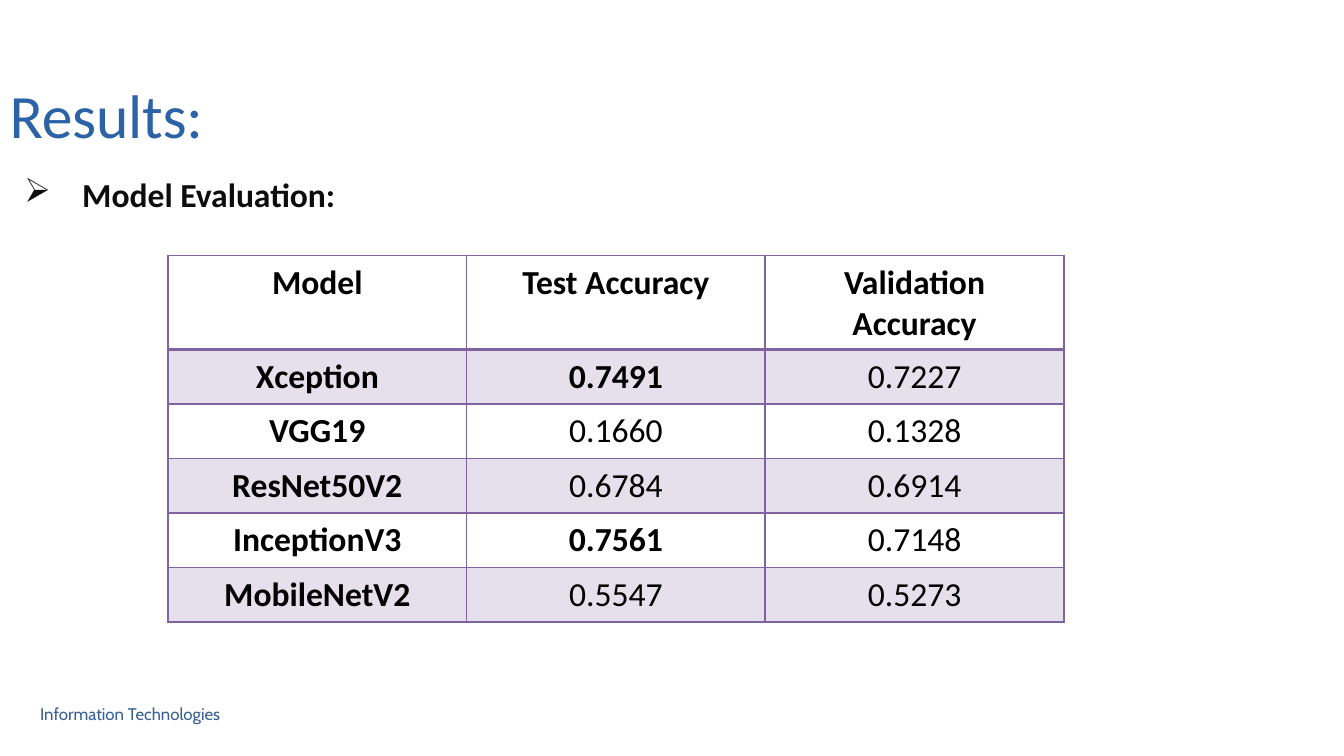
"""Build a results slide with a table of model accuracies."""
from lxml.etree import SubElement
from pptx import Presentation
from pptx.dml.color import RGBColor
from pptx.enum.text import MSO_AUTO_SIZE as AutoSize, PP_ALIGN as Align
from pptx.oxml.ns import qn
from pptx.util import Pt

TITLE_BLUE = RGBColor(0x2C, 0x62, 0xA6)
FOOTER_BLUE = RGBColor(0x37, 0x60, 0x92)
PURPLE = RGBColor(0x80, 0x64, 0xA2)
BLACK = RGBColor(0, 0, 0)
DARK = RGBColor(0x0D, 0x0D, 0x0D)

ROWS = [
    ("Model", "Test Accuracy", "Validation Accuracy"),
    ("Xception", "0.7491", "0.7227"),
    ("VGG19", "0.1660", "0.1328"),
    ("ResNet50V2", "0.6784", "0.6914"),
    ("InceptionV3", "0.7561", "0.7148"),
    ("MobileNetV2", "0.5547", "0.5273"),
]
BEST_SCORES = ("0.7491", "0.7561")
COLUMN_WIDTH = 160
ROW_HEIGHT = 29.2


def add_run(paragraph, text, size, color, font="Calibri", bold=False):
    run = paragraph.add_run()
    run.text = text
    run.font.size = Pt(size)
    run.font.name = font
    run.font.bold = bold
    run.font.color.rgb = color
    return run


def add_text_box(slide, left, top, width, height, insets):
    shape = slide.shapes.add_textbox(Pt(left), Pt(top), Pt(width), Pt(height))
    frame = shape.text_frame
    frame.word_wrap = True
    frame.auto_size = AutoSize.SHAPE_TO_FIT_TEXT
    frame.margin_left, frame.margin_top, frame.margin_right, frame.margin_bottom = map(Pt, insets)
    return frame.paragraphs[0]


presentation = Presentation()
presentation.slide_width = Pt(720)
presentation.slide_height = Pt(405)
slide = presentation.slides.add_slide(presentation.slide_layouts[6])

footer = add_text_box(slide, 14.4, 373.5, 239, 18, (7.2, 3.6, 7.2, 3.6))
add_run(footer, "Information Technologies", 9, FOOTER_BLUE, "Cabin")

title = add_text_box(slide, 0, 40.3, 114, 41.8, (0, 1, 0, 0))
title.alignment = Align.CENTER
title.space_before = Pt(1)
title_run = add_run(title, "Results:", 33, TITLE_BLUE)
title_run.font._element.set("spc", "-10")

table_shape = slide.shapes.add_table(
    len(ROWS), len(ROWS[0]), Pt(90), Pt(136.8),
    Pt(COLUMN_WIDTH * len(ROWS[0])), Pt(ROW_HEIGHT * len(ROWS)))
table = table_shape.table
for column in table.columns:
    column.width = Pt(COLUMN_WIDTH)
for row_index, values in enumerate(ROWS):
    table.rows[row_index].height = Pt(ROW_HEIGHT)
    for column_index, value in enumerate(values):
        cell = table.cell(row_index, column_index)
        properties = cell._tc.get_or_add_tcPr()
        for side in ("L", "R", "T", "B"):
            under_header = (row_index, side) in ((0, "B"), (1, "T"))
            line = SubElement(properties, qn(f"a:ln{side}"), w=str(Pt(2 if under_header else 1)))
            line_fill = SubElement(line, qn("a:solidFill"))
            SubElement(line_fill, qn("a:srgbClr"), val=str(PURPLE))
        if row_index % 2:
            cell.fill.solid()
            cell.fill.fore_color.rgb = PURPLE
            fill_color = properties.find(qn("a:solidFill")).find(qn("a:srgbClr"))
            SubElement(fill_color, qn("a:alpha"), val="20000")
        else:
            cell.fill.background()
        paragraph = cell.text_frame.paragraphs[0]
        paragraph.alignment = Align.CENTER
        bold = row_index == 0 or column_index == 0 or value in BEST_SCORES
        add_run(paragraph, value, 18, BLACK, bold=bold)

heading = add_text_box(slide, 12.4, 92.2, 210, 44.6, (0, 1, 0, 0))
heading.space_before = Pt(1)
heading_properties = heading._p.get_or_add_pPr()
heading_properties.set("marL", str(Pt(31.7)))
heading_properties.set("indent", str(Pt(-31)))
SubElement(heading_properties, qn("a:buChar"), char="➢")
add_run(heading, "Model Evaluation:", 18, DARK, bold=True)

presentation.save("out.pptx")
